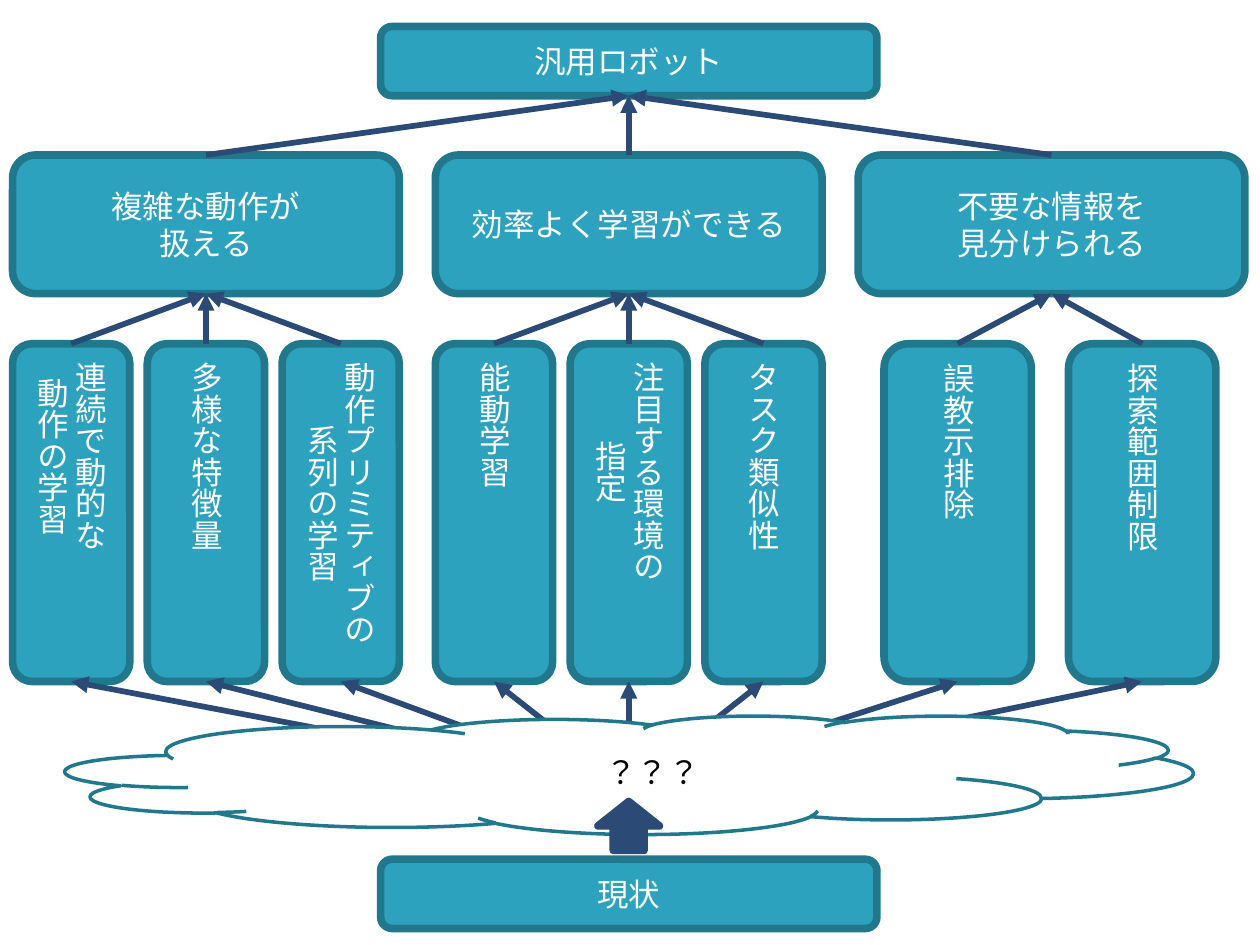
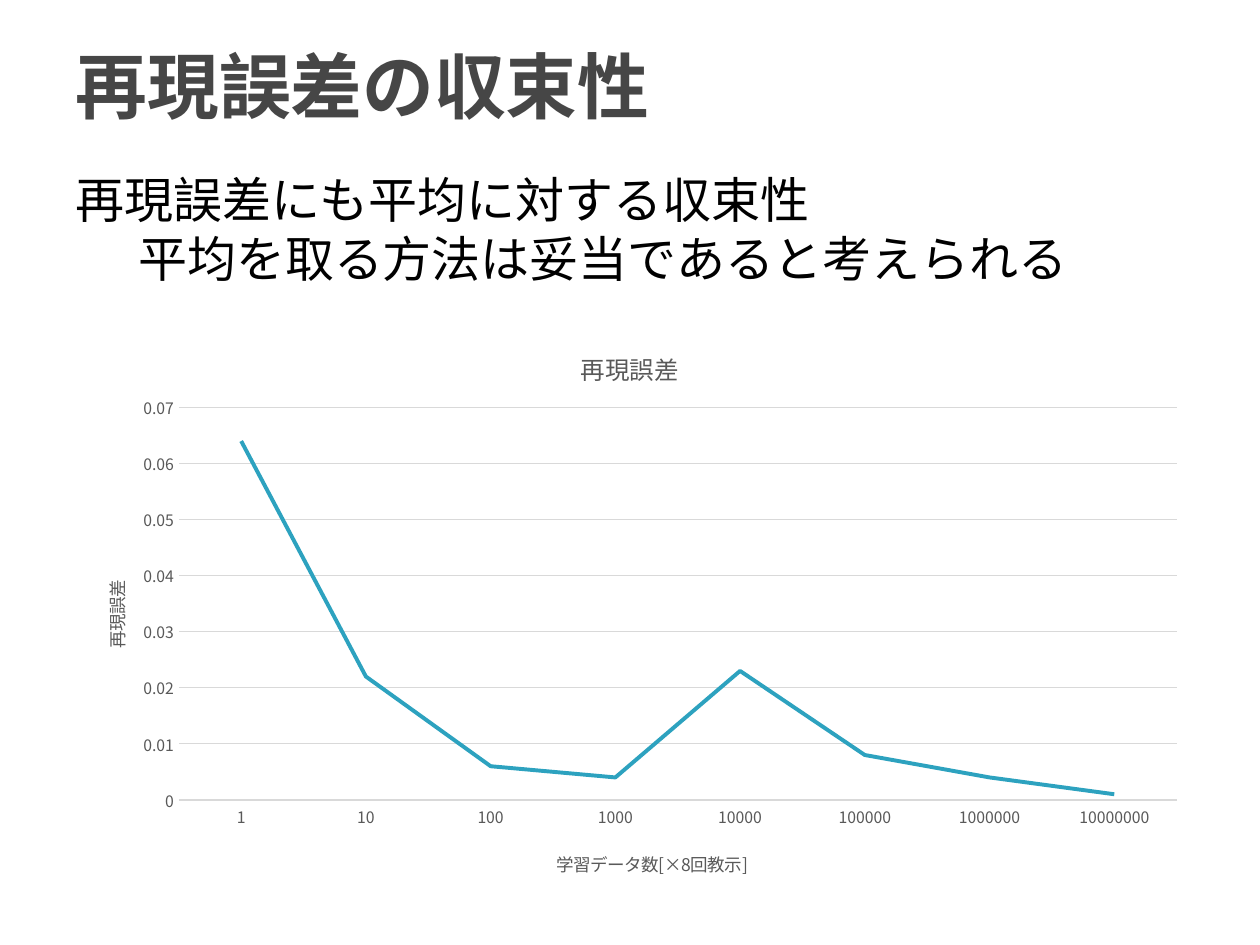
from pptx import Presentation
from pptx.chart.data import CategoryChartData
from pptx.dml.color import RGBColor
from pptx.enum.chart import XL_CHART_TYPE, XL_TICK_MARK
from pptx.enum.shapes import MSO_CONNECTOR, MSO_SHAPE
from pptx.enum.text import MSO_ANCHOR, PP_ALIGN
from pptx.oxml import parse_xml
from pptx.oxml.ns import nsdecls, qn
from pptx.util import Pt

FONT = "Noto Sans CJK JP"
COLORS = {"teal": "2DA2BF", "edge": "21788D", "navy": "2B4A76", "white": "FFFFFF",
          "black": "000000", "title": "464646", "label": "595959", "grid": "D9D9D9"}
RGB = {name: RGBColor.from_string(value) for name, value in COLORS.items()}


def write(tf, lines, color, fmt, align=PP_ALIGN.LEFT):
    tf.word_wrap = True
    for i, line in enumerate(lines):
        p = tf.paragraphs[0] if i == 0 else tf.add_paragraph()
        p.alignment = align
        r = p.add_run()
        r.text = line
        for key, value in {"name": FONT, **fmt}.items():
            setattr(r.font, key, value)
        r.font.color.rgb = RGB[color]


def add_shape(s, kind, box, fill, edge, width):
    sp = s.shapes.add_shape(kind, *[Pt(v) for v in box])
    sp.shadow.inherit = False
    sp.fill.solid()
    sp.fill.fore_color.rgb = RGB[fill]
    sp.line.color.rgb = RGB[edge]
    sp.line.width = Pt(width)
    return sp


prs = Presentation()
prs.slide_width, prs.slide_height = Pt(720), Pt(540)

s = prs.slides.add_slide(prs.slide_layouts[6])
MID = 359.3
GOAL_BOTTOM, THEME_Y, THEME_H = 54.7, 88.6, 79.2
THEME_W, THEME_STEP = 221, 241.6
METHOD_Y, METHOD_H = 196.4, 193
CLOUD_START = 450

themes = [
    (["複雑な動作が", "扱える"], 7.2, 67, 77,
     [["連続で動的な", "動作の学習"], ["多様な特徴量"], ["動作プリミティブの", "系列の学習"]]),
    (["効率よく学習ができる"], 248.8, 67, 77,
     [["能動学習"], ["注目する環境の", "指定"], ["タスク類似性"]]),
    (["不要な情報を", "見分けられる"], 505.2, 84.2, 105.4,
     [["誤教示排除"], ["探索範囲制限"]]),
]
boxes = [(["汎用ロボット"], (217.5, 15.1, 283.6, 39.6), False),
         (["現状"], (217.5, 491, 283.6, 39.6), False)]
arrows = []
for i, (name, left, width, step, methods) in enumerate(themes):
    x = 7.2 + i * THEME_STEP
    center = x + THEME_W / 2
    boxes.append((name, (x, THEME_Y, THEME_W, THEME_H), False))
    arrows.append((center, THEME_Y, MID, GOAL_BOTTOM))
    for j, method in enumerate(methods):
        x = left + j * step
        boxes.append((method, (x, METHOD_Y, width, METHOD_H), True))
        arrows.append((x + width / 2, METHOD_Y, center, THEME_Y + THEME_H))
        arrows.append((MID, CLOUD_START, x + width / 2, METHOD_Y + METHOD_H))

for lines, box, vertical in boxes:
    sp = add_shape(s, MSO_SHAPE.ROUNDED_RECTANGLE, box, "teal", "edge", 4.33)
    write(sp.text_frame, lines, "white", {"size": Pt(18)}, PP_ALIGN.CENTER)
    if vertical:
        sp.text_frame._txBody.bodyPr.set("vert", "eaVert")

for ends in arrows:
    c = s.shapes.add_connector(MSO_CONNECTOR.STRAIGHT, *[Pt(v) for v in ends])
    c.line.color.rgb = RGB["navy"]
    c.line.width = Pt(3.25)
    c.line._get_or_add_ln().append(parse_xml(f'<a:tailEnd {nsdecls("a")} type="triangle"/>'))
    c._element.spPr.append(parse_xml(f'<a:effectLst {nsdecls("a")}/>'))

cloud = add_shape(s, MSO_SHAPE.CLOUD, (37.4, 409, 644.4, 67.7), "white", "edge", 2)
write(cloud.text_frame, ["？？？"], "black", {"size": Pt(18)}, PP_ALIGN.CENTER)
cloud.text_frame.margin_left = Pt(79.2)
add_shape(s, MSO_SHAPE.UP_ARROW, (MID - 17.6, 458, 35.2, 28), "navy", "navy", 4.33)

s = prs.slides.add_slide(prs.slide_layouts[5])
title = s.shapes.title
title.left, title.top, title.width, title.height = Pt(36), Pt(3.6), Pt(648), Pt(90)
title.text_frame.vertical_anchor = MSO_ANCHOR.MIDDLE
write(title.text_frame, ["再現誤差の収束性"], "title", {"size": Pt(41), "bold": True})

data = CategoryChartData()
data.categories = [str(10 ** n) for n in range(8)]
data.add_series("再現誤差", [0.064, 0.022, 0.006, 0.004, 0.023, 0.008, 0.004, 0.001])
chart = s.shapes.add_chart(XL_CHART_TYPE.LINE, Pt(37.4), Pt(179.3), Pt(648), Pt(334.8), data).chart
chart.has_legend = False
chart.font.name, chart.font.size = FONT, Pt(10)
chart.font.color.rgb = RGB["black"]
line = chart.plots[0].series[0]
line.smooth = False
line.format.line.color.rgb = RGB["teal"]
line.format.line.width = Pt(2.25)
chart.plots[0].vary_by_categories = False

cat, val = chart.category_axis, chart.value_axis
for axis in (cat, val):
    axis.major_tick_mark = axis.minor_tick_mark = XL_TICK_MARK.NONE
    font = axis.tick_labels.font
    font.name, font.size = FONT, Pt(9)
    font.color.rgb = RGB["label"]
val.minimum_scale, val.maximum_scale, val.major_unit = 0, 0.07, 0.01
val.tick_labels.number_format = "General"
val.tick_labels.number_format_is_linked = False
val.format.line.fill.background()
for rule in (cat.format.line, val.major_gridlines.format.line):
    rule.color.rgb = RGB["grid"]
    rule.width = Pt(0.75)

chart.has_title = True
places = [(chart._chartSpace.chart.plotArea, 0, {"x": 0.1, "y": 0.16, "w": 0.88, "h": 0.67})]
for owner, text, size, x, y in [(chart.chart_title, "再現誤差", 14, 0.45, 0.05),
                                (cat.axis_title, "学習データ数[×8回教示]", 10, 0.43, 0.91),
                                (val.axis_title, "再現誤差", 10, 0.03, 0.45)]:
    write(owner.text_frame, [text], "label", {"size": Pt(size), "bold": False}, PP_ALIGN.CENTER)
    places.append((owner._element, 1, {"x": x, "y": y}))
val.axis_title.text_frame._txBody.bodyPr.set("rot", "-5400000")

for parent, index, place in places:
    for old in parent.findall(qn("c:layout")):
        parent.remove(old)
    inner = '<c:layoutTarget val="inner"/>' if "w" in place else ""
    modes = "".join(f'<c:{k}Mode val="edge"/>' for k in "xy")
    values = "".join(f'<c:{k} val="{v}"/>' for k, v in place.items())
    parent.insert(index, parse_xml(f'<c:layout {nsdecls("c")}><c:manualLayout>'
                                   f'{inner}{modes}{values}</c:manualLayout></c:layout>'))

tb = s.shapes.add_textbox(Pt(36), Pt(93.6), Pt(669.6), Pt(75))
write(tb.text_frame, ["再現誤差にも平均に対する収束性", "平均を取る方法は妥当であると考えられる"],
      "black", {"size": Pt(28)})
p = tb.text_frame.paragraphs[1]
p.level = 1
p._p.get_or_add_pPr().set("marL", str(Pt(36)))

for root in [slide._element for slide in prs.slides] + [chart._chartSpace]:
    for latin in list(root.iter(qn("a:latin"))):
        latin.addnext(parse_xml(f'<a:ea {nsdecls("a")} typeface="{FONT}"/>'))

prs.save("out.pptx")
